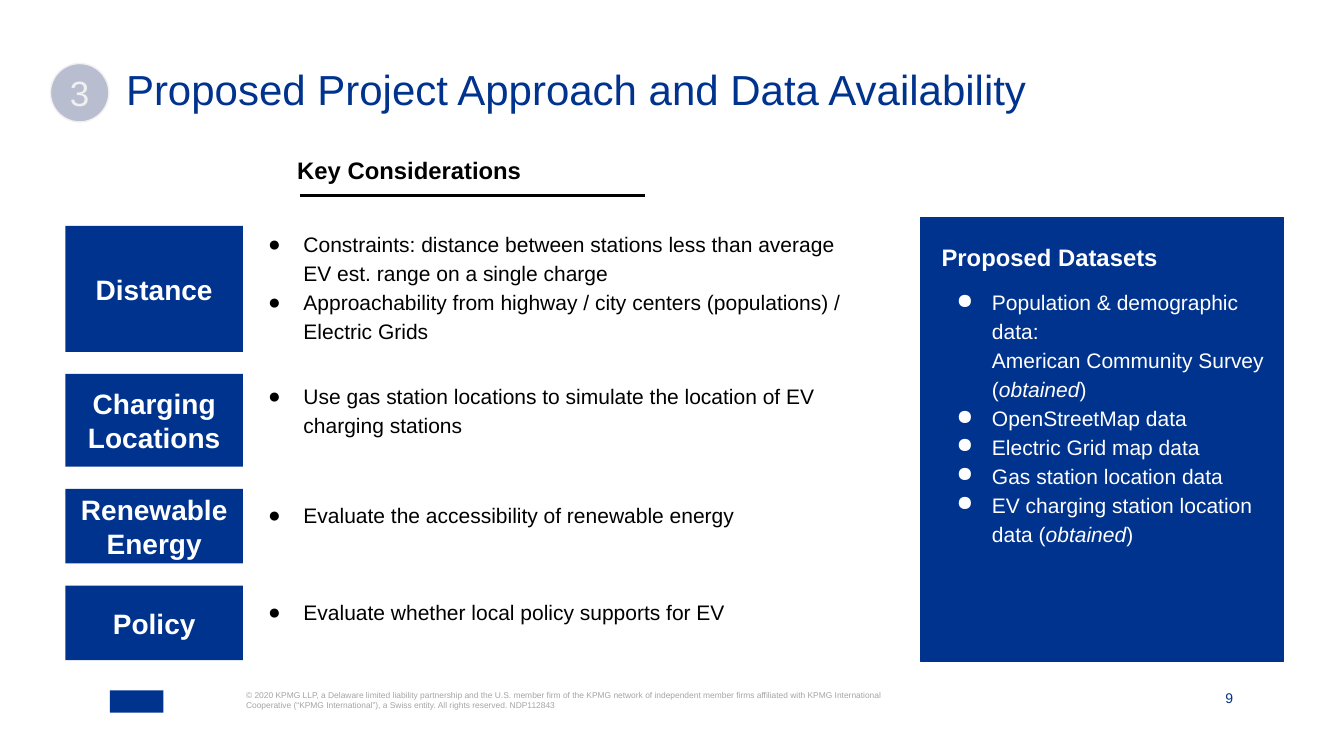
from lxml import etree
from pptx import Presentation
from pptx import util as u
from pptx.dml import color
from pptx.enum import shapes, text
from pptx.oxml import ns

NAVY = color.RGBColor(0x00, 0x33, 0x8D)
WHITE = color.RGBColor(0xFF, 0xFF, 0xFF)
BLACK = color.RGBColor(0x00, 0x00, 0x00)
GREY = color.RGBColor(0xA5, 0xA5, 0xA5)
BADGE = color.RGBColor(0xB9, 0xBD, 0xD0)
PALE = color.RGBColor(0xF0, 0xF0, 0xF0)

ROW_GAP = 0.22
CONSIDERATIONS = [
    ("Distance", 1.25, -0.08, 1.33, [
        "Constraints: distance between stations less than average EV est. range on a single charge",
        "Approachability from highway / city centers (populations) / Electric Grids"]),
    ("Charging Locations", 0.92, -0.04, 0.74, [
        "Use gas station locations to simulate the location of EV charging stations"]),
    ("Renewable Energy", 0.74, 0, 0.45, ["Evaluate the accessibility of renewable energy"]),
    ("Policy", 0.74, 0, 0.45, ["Evaluate whether local policy supports for EV"]),
]
DATASETS = [
    (True, ["Population & demographic data:"]),
    (False, ["American Community Survey (", "obtained", ")"]),
    (True, ["OpenStreetMap data"]),
    (True, ["Electric Grid map data"]),
    (True, ["Gas station location data"]),
    (True, ["EV charging station location data (", "obtained", ")"]),
]
COPYRIGHT = (
    "© 2020 KPMG LLP, a Delaware limited liability partnership and the U.S. member firm of the "
    "KPMG network of independent member firms affiliated with KPMG International Cooperative "
    "(“KPMG International”), a Swiss entity. All rights reserved. NDP112843")


def apply(target, values):
    for name, value in values.items():
        setattr(target, name, value)


def place(shape, left, top, width, height):
    apply(shape, {"left": u.Inches(left), "top": u.Inches(top),
                  "width": u.Inches(width), "height": u.Inches(height)})


def set_frame(frame, inset=0.1, anchor=text.MSO_ANCHOR.TOP):
    margins = {f"margin_{side}": u.Inches(inset) for side in ("left", "top", "right", "bottom")}
    apply(frame, {"word_wrap": True, "auto_size": text.MSO_AUTO_SIZE.NONE,
                  "vertical_anchor": anchor, **margins})


def next_paragraph(frame):
    return frame.add_paragraph() if frame.paragraphs[0].runs else frame.paragraphs[0]


def write(paragraph, runs, size, ink, bold=False, **layout):
    apply(paragraph, {"space_before": u.Pt(0), **layout})
    for words in runs:
        run = paragraph.add_run()
        run.text = words
        apply(run.font, {"name": "Arial", "size": u.Pt(size), "bold": bold,
                         "italic": words == "obtained"})
        run.font.color.rgb = ink


def write_item(frame, runs, ink, bulleted=True, before=0):
    paragraph = next_paragraph(frame)
    properties = paragraph._p.get_or_add_pPr()
    properties.set("marL", str(u.Inches(0.5)))
    properties.set("indent", str(u.Inches(-0.35 if bulleted else 0)))
    if bulleted:
        bullet_ink = etree.SubElement(properties, ns.qn("a:buClr"))
        etree.SubElement(bullet_ink, ns.qn("a:srgbClr"), val=str(ink))
        etree.SubElement(properties, ns.qn("a:buChar"), char="●")
    write(paragraph, runs, 15, ink, line_spacing=1.15, space_before=u.Pt(before))


def add_text(slide, box, words, size, ink, inset=0, anchor=text.MSO_ANCHOR.TOP,
             bold=False, **layout):
    frame = slide.shapes.add_textbox(*map(u.Inches, box)).text_frame
    set_frame(frame, inset, anchor)
    write(frame.paragraphs[0], [words], size, ink, bold, **layout)
    return frame


def add_block(slide, kind, box, fill, edge=None, weight=1.0):
    block = slide.shapes.add_shape(kind, *map(u.Inches, box))
    block.shadow.inherit = False
    block.fill.solid()
    block.fill.fore_color.rgb = fill
    if edge is None:
        block.line.fill.background()
    else:
        block.line.color.rgb = edge
        block.line.width = u.Pt(weight)
    return block


def label(block, words, size, ink, bold):
    set_frame(block.text_frame, anchor=text.MSO_ANCHOR.MIDDLE)
    write(block.text_frame.paragraphs[0], [words], size, ink, bold,
          alignment=text.PP_ALIGN.CENTER)


def add_header(slide, left, top):
    badge = add_block(slide, shapes.MSO_SHAPE.OVAL, (left, top, 0.58, 0.58), BADGE, PALE)
    label(badge, "3", 25, PALE, False)
    title = slide.shapes.title
    place(title, left + 0.75, top - 0.01, 11.15, 0.58)
    set_frame(title.text_frame, 0, text.MSO_ANCHOR.MIDDLE)
    write(title.text_frame.paragraphs[0], ["Proposed Project Approach and Data Availability"],
          30, NAVY, line_spacing=0.9, alignment=text.PP_ALIGN.LEFT)


def add_considerations(slide, left, top):
    add_text(slide, (left + 2.2, top - 0.8, 3.06, 0.49), "Key Considerations", 17, BLACK,
             inset=0.1, bold=True)
    underline = slide.shapes.add_connector(
        shapes.MSO_CONNECTOR.STRAIGHT, u.Inches(left + 2.33), u.Inches(top - 0.3),
        u.Inches(left + 5.75), u.Inches(top - 0.3))
    underline.line.color.rgb = BLACK
    underline.line.width = u.Pt(2.25)
    etree.SubElement(underline._element.spPr, ns.qn("a:effectLst"))

    for index, (topic, height, shift, list_height, points) in enumerate(CONSIDERATIONS, 1):
        tile = add_block(slide, shapes.MSO_SHAPE.RECTANGLE, (left, top, 1.76, height), NAVY)
        label(tile, topic, 20, WHITE, True)
        body = slide.placeholders[index]
        place(body, left + 1.76, top + shift, 6.18, list_height)
        set_frame(body.text_frame)
        for point in points:
            write_item(body.text_frame, [point], BLACK)
        top += height + ROW_GAP


def add_datasets(slide, left, top, width, height):
    add_block(slide, shapes.MSO_SHAPE.RECTANGLE, (left, top, width, height), NAVY, NAVY, 0.75)
    frame = add_text(slide, (left + 0.11, top + 0.11, width - 0.12, 3.25), "Proposed Datasets",
                     17, WHITE, inset=0.1, bold=True, line_spacing=1.15)
    for index, (bulleted, runs) in enumerate(DATASETS):
        write_item(frame, runs, WHITE, bulleted, before=0 if index else 10)


def add_footer(slide, left, top):
    add_block(slide, shapes.MSO_SHAPE.RECTANGLE, (left, top, 0.53, 0.22), NAVY)
    add_text(slide, (left + 1.35, top, 6.39, 0.41), COPYRIGHT, 6, GREY)
    add_text(slide, (left + 10.65, top, 0.49, 0.16), "9", 10, NAVY,
             anchor=text.MSO_ANCHOR.BOTTOM, alignment=text.PP_ALIGN.RIGHT)


def main():
    deck = Presentation()
    apply(deck, {"slide_width": u.Inches(13.33), "slide_height": u.Inches(7.5)})
    slide = deck.slides.add_slide(deck.slide_layouts.get_by_name("Comparison"))
    add_footer(slide, 1.09, 6.85)
    add_header(slide, 0.5, 0.63)
    add_considerations(slide, 0.65, 2.24)
    add_datasets(slide, 9.13, 2.16, 3.6, 4.4)
    deck.save("out.pptx")


if __name__ == "__main__":
    main()
